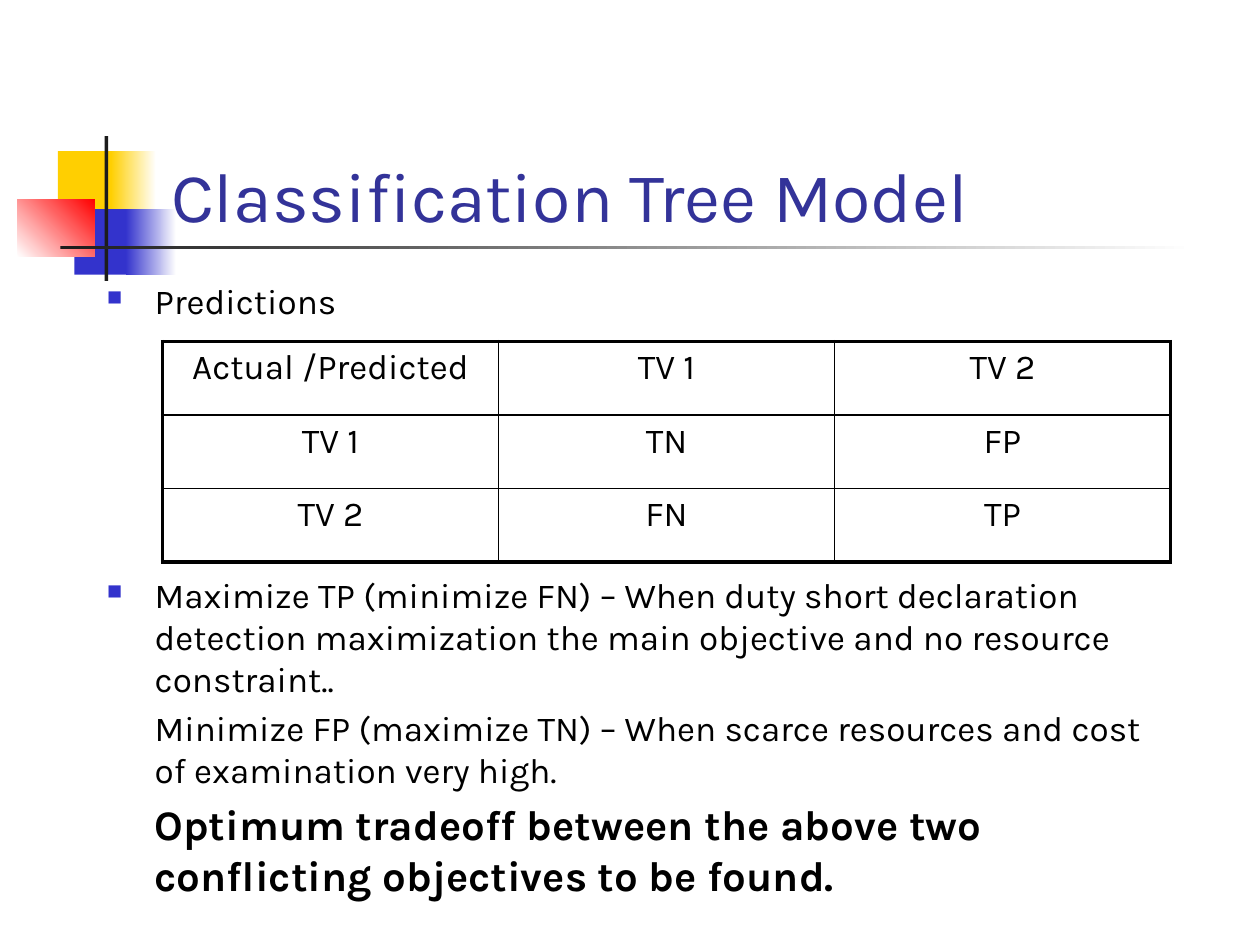
from dataclasses import dataclass
from typing import Optional

from lxml import etree
from pptx import Presentation
from pptx.dml.color import RGBColor
from pptx.enum.shapes import MSO_SHAPE
from pptx.enum.text import MSO_ANCHOR, PP_ALIGN
from pptx.oxml.ns import qn
from pptx.util import Inches, Pt

RECT = MSO_SHAPE.RECTANGLE
TOP, BOTTOM = MSO_ANCHOR.TOP, MSO_ANCHOR.BOTTOM
LEFT, CENTER = PP_ALIGN.LEFT, PP_ALIGN.CENTER


@dataclass(frozen=True)
class Theme:
    font: str = "Karla"
    title: str = "333399"
    text: str = "000000"
    white: str = "FFFFFF"
    yellow: str = "FFCF01"
    blue: str = "3333CC"
    red: str = "FF0000"
    dark: str = "1C1C1C"
    title_size: int = 40
    body_size: int = 20
    closing_size: int = 24
    outer_line: float = 2.25
    inner_line: float = 1


@dataclass(frozen=True)
class Block:
    left: float
    top: float
    width: float
    height: float
    color: str
    fade_to: Optional[str] = None
    angle: int = 0


@dataclass(frozen=True)
class Item:
    text: str
    bullet: bool = False
    size: int = 20
    bold: bool = False


THEME = Theme()
HANG = 0.38

BLOCKS = [
    Block(0.46, 1.2, 0.48, 0.52, THEME.yellow),
    Block(0.88, 1.2, 0.36, 0.52, THEME.yellow, THEME.white),
    Block(0.59, 1.66, 0.46, 0.52, THEME.blue),
    Block(1, 1.66, 0.4, 0.52, THEME.blue, THEME.white),
    Block(0.14, 1.58, 0.61, 0.46, THEME.white, THEME.red, 45),
    Block(0.83, 1.08, 0.03, 1.15, THEME.dark),
    Block(0.48, 1.95, 9, 0.03, THEME.dark, THEME.white),
]

MATRIX = [
    ["Actual /Predicted", "TV 1", "TV 2"],
    ["TV 1", "TN", "FP"],
    ["TV 2", "FN", "TP"],
]

INTRO = [Item("Predictions", bullet=True)]
OBJECTIVES = [
    Item("Maximize TP (minimize FN) – When duty short declaration detection "
         "maximization the main objective and no resource constraint..", bullet=True),
    Item("Minimize FP (maximize TN) – When scarce resources and cost of "
         "examination very high."),
    Item("Optimum tradeoff between the above two conflicting objectives to be found.",
         size=THEME.closing_size, bold=True),
]


def write(p, text, *, size=THEME.body_size, color=THEME.text, bold=False,
          align=LEFT, before=0.0) -> None:
    p.alignment = align
    p.space_before = Pt(before)
    r = p.add_run()
    r.text = text
    r.font.name = THEME.font
    r.font.size = Pt(size)
    r.font.bold = bold
    r.font.color.rgb = RGBColor.from_string(color)


def add_block(s, block: Block) -> None:
    sp = s.shapes.add_shape(RECT, Inches(block.left), Inches(block.top),
                            Inches(block.width), Inches(block.height))
    sp.shadow.inherit = False
    sp.line.fill.background()
    if block.fade_to is None:
        sp.fill.solid()
        sp.fill.fore_color.rgb = RGBColor.from_string(block.color)
        return
    sp.fill.gradient()
    sp.fill.gradient_angle = block.angle
    for stop, color in zip(sp.fill.gradient_stops, (block.color, block.fade_to)):
        stop.color.rgb = RGBColor.from_string(color)


def add_text_frame(s, left: float, top: float, width: float, height: float, anchor=TOP):
    tf = s.shapes.add_textbox(Inches(left), Inches(top),
                              Inches(width), Inches(height)).text_frame
    tf.word_wrap = True
    tf.vertical_anchor = anchor
    return tf


def set_indent(p, bullet: bool) -> None:
    pPr = p._p.get_or_add_pPr()
    pPr.set("marL", str(Inches(HANG)))
    pPr.set("indent", str(-Inches(HANG) if bullet else 0))
    if not bullet:
        etree.SubElement(pPr, qn("a:buNone"))
        return
    clr = etree.SubElement(pPr, qn("a:buClr"))
    etree.SubElement(clr, qn("a:srgbClr"), val=THEME.blue)
    etree.SubElement(pPr, qn("a:buSzPct"), val="60000")
    etree.SubElement(pPr, qn("a:buChar"), char="■")


def add_items(s, top: float, height: float, items: list[Item]) -> None:
    tf = add_text_frame(s, 0.75, top, 8.5, height)
    for i, item in enumerate(items):
        p = tf.paragraphs[0] if i == 0 else tf.add_paragraph()
        write(p, item.text, size=item.size, bold=item.bold, before=0.2 * item.size)
        set_indent(p, item.bullet)


def set_borders(cell, outer: dict[str, bool]) -> None:
    tcPr = cell._tc.get_or_add_tcPr()
    for side, is_outer in outer.items():
        width = THEME.outer_line if is_outer else THEME.inner_line
        ln = etree.SubElement(tcPr, qn(f"a:ln{side}"), w=str(Pt(width)))
        fill = etree.SubElement(ln, qn("a:solidFill"))
        etree.SubElement(fill, qn("a:srgbClr"), val=THEME.text)


def add_matrix(s, rows: list[list[str]]) -> None:
    last_row, last_col = len(rows) - 1, len(rows[0]) - 1
    table = s.shapes.add_table(len(rows), len(rows[0]), Inches(1.29), Inches(2.71),
                               Inches(8), Inches(1.75)).table
    table.first_row = False
    table.horz_banding = False
    for i, row in enumerate(rows):
        for j, text in enumerate(row):
            cell = table.cell(i, j)
            write(cell.text_frame.paragraphs[0], text, align=CENTER,
                  before=0.2 * THEME.body_size)
            set_borders(cell, {"L": j == 0, "R": j == last_col,
                               "T": i == 0, "B": i == last_row})
            cell.fill.background()


def main() -> None:
    prs = Presentation()
    prs.slide_width, prs.slide_height = Inches(10), Inches(7.5)
    s = prs.slides.add_slide(prs.slide_layouts[6])

    # Corner ornament and rule
    for block in BLOCKS:
        add_block(s, block)

    # Title
    tf = add_text_frame(s, 1.26, 0.68, 8.52, 1.25, BOTTOM)
    write(tf.paragraphs[0], "Classification Tree Model",
          size=THEME.title_size, color=THEME.title)

    # Text above and below the prediction table
    add_items(s, 2.17, 0.5, INTRO)
    add_items(s, 4.5, 2.67, OBJECTIVES)
    add_matrix(s, MATRIX)

    prs.save("out.pptx")


if __name__ == "__main__":
    main()
